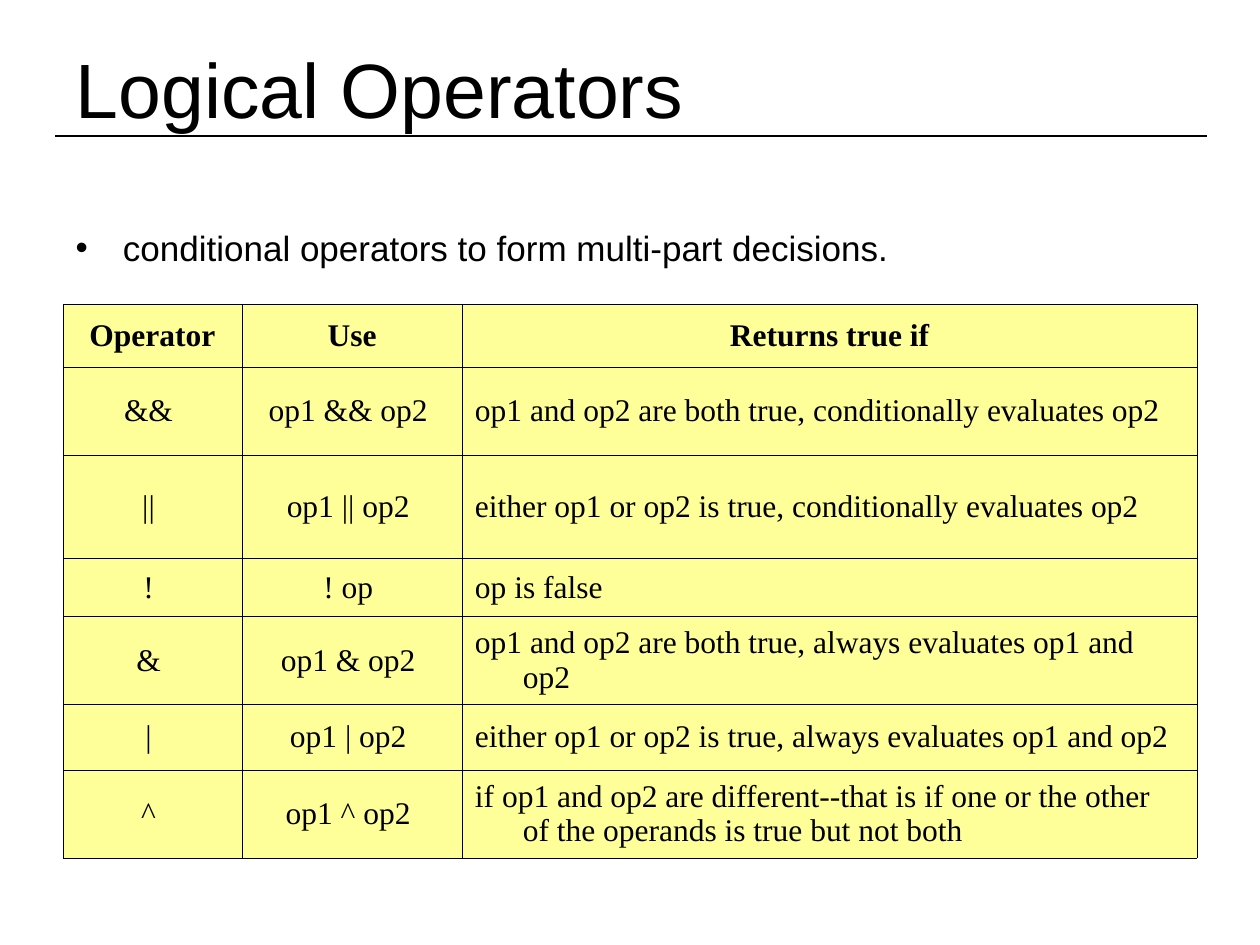
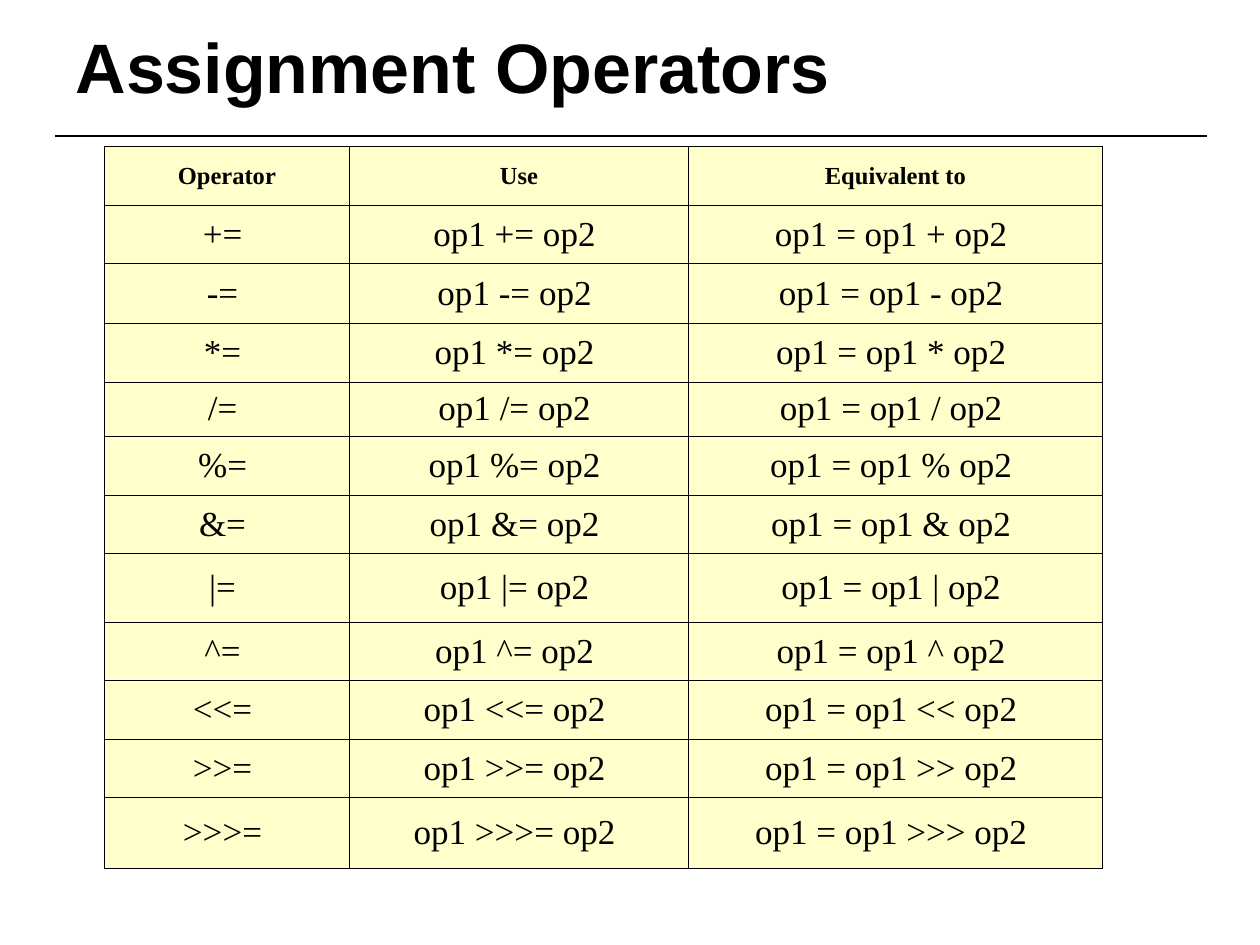
from lxml.etree import SubElement
from pptx import Presentation
from pptx.dml.color import RGBColor
from pptx.enum.shapes import MSO_CONNECTOR
from pptx.enum.text import MSO_ANCHOR, MSO_AUTO_SIZE, PP_ALIGN
from pptx.oxml import parse_xml
from pptx.oxml.ns import nsdecls, qn
from pptx.util import Inches, Pt

BLACK = "000000"
TITLE_ONLY, TITLE_AND_BODY = 5, 1
HANGING = Inches(0.38)

deck = Presentation()
deck.slide_width, deck.slide_height = Inches(10), Inches(7.5)
WIDE, HIGH = deck.slide_width, deck.slide_height


def colour(hex_text):
    return RGBColor.from_string(hex_text)


def write(paragraph, text, face, size, bold=False):
    run = paragraph.add_run()
    run.text = text
    run.font.name, run.font.size, run.font.bold = face, Pt(size), bold
    run.font.color.rgb = colour(BLACK)


# Content: boxes are left, top, width, height as shares of the slide
logical_rows = [
    ("Operator", "Use", "Returns true if"),
    ("&&", "op1 && op2", "op1 and op2 are both true, conditionally evaluates op2"),
    ("||", "op1 || op2", "either op1 or op2 is true, conditionally evaluates op2"),
    ("!", "! op", "op is false"),
    ("&", "op1 & op2", "op1 and op2 are both true, always evaluates op1 and op2"),
    ("|", "op1 | op2", "either op1 or op2 is true, always evaluates op1 and op2"),
    ("^", "op1 ^ op2", "if op1 and op2 are different--that is if one or the other of "
                       "the operands is true but not both"),
]
symbols = ["+", "-", "*", "/", "%", "&", "|", "^", "<<", ">>", ">>>"]
assignment_rows = [("Operator", "Use", "Equivalent to")] + [
    (f"{symbol}=", f"op1 {symbol}= op2", f"op1 = op1 {symbol} op2") for symbol in symbols
]
topics = [
    dict(title="Logical Operators", title_size=44, title_bold=False, title_height=0.105,
         point="conditional operators to form multi-part decisions.",
         rows=logical_rows, box=(0.05, 0.322, 0.9, 0.586), fill="FFFF99",
         column_weights=[1.42, 1.75, 5.83],
         row_weights=[0.5, 0.7, 0.82, 0.46, 0.7, 0.52, 0.7],
         head_size=18, size=18, left_columns=[2]),
    dict(title="Assignment Operators", title_size=40, title_bold=True, title_height=0.059,
         point=None,
         rows=assignment_rows, box=(0.083, 0.155, 0.792, 0.764), fill="FFFFCC",
         column_weights=[1.94, 2.69, 3.28],
         row_weights=[0.47, 0.46, 0.47, 0.47, 0.43, 0.47, 0.46, 0.55, 0.46, 0.47, 0.46, 0.56],
         head_size=14, size=20, left_columns=[]),
]

for topic in topics:
    slide = deck.slides.add_slide(
        deck.slide_layouts[TITLE_AND_BODY if topic["point"] else TITLE_ONLY])

    # Rule under the title
    rule = slide.shapes.add_connector(
        MSO_CONNECTOR.STRAIGHT, int(WIDE * 0.044), int(HIGH * 0.144),
        int(WIDE * 0.958), int(HIGH * 0.144))
    rule.line.color.rgb = colour(BLACK)
    rule.line.width = Pt(0.75)
    SubElement(rule._element.spPr, qn("a:effectLst"))

    # Title and list
    heading = slide.shapes.title
    texts = [(heading, topic["title"], 0.04, topic["title_height"],
              topic["title_size"], topic["title_bold"], MSO_ANCHOR.MIDDLE)]
    if topic["point"]:
        texts.append((slide.placeholders[1], topic["point"], 0.233, 0.077,
                      20, False, MSO_ANCHOR.TOP))
    for holder, text, top, height, size, bold, anchor in texts:
        holder.left, holder.width = int(WIDE * 0.05), int(WIDE * 0.9)
        holder.top, holder.height = int(HIGH * top), int(HIGH * height)
        frame = holder.text_frame
        frame.auto_size, frame.word_wrap = MSO_AUTO_SIZE.NONE, True
        frame.vertical_anchor = anchor
        line = frame.paragraphs[0]
        line.alignment, line.space_before = PP_ALIGN.LEFT, Pt(0)
        write(line, text, "Arial", size, bold)

    # Operator table
    left, top, width, height = topic["box"]
    column_weights, row_weights = topic["column_weights"], topic["row_weights"]
    operators = slide.shapes.add_table(
        len(row_weights), len(column_weights), int(WIDE * left), int(HIGH * top),
        int(WIDE * width), int(HIGH * height)).table
    operators.horz_banding = False
    for column, weight in zip(operators.columns, column_weights):
        column.width = int(WIDE * width * weight / sum(column_weights))
    for row, weight in zip(operators.rows, row_weights):
        row.height = int(HIGH * height * weight / sum(row_weights))

    for r, entries in enumerate(topic["rows"]):
        for c, entry in enumerate(entries):
            is_head = r == 0
            centred = is_head or c not in topic["left_columns"]
            cell = operators.cell(r, c)
            cell.vertical_anchor = MSO_ANCHOR.MIDDLE
            cell.margin_left = cell.margin_right = Inches(0.1)
            cell.margin_top = cell.margin_bottom = Inches(0.05)
            line = cell.text_frame.paragraphs[0]
            line.alignment = PP_ALIGN.CENTER if centred else PP_ALIGN.LEFT
            layout = line._p.get_or_add_pPr()
            layout.set("marL", str(HANGING))
            layout.set("indent", str(-HANGING))
            # Centred entries below the head carry a trailing space
            write(line, entry + " " if centred and not is_head else entry,
                  "Times New Roman", topic["head_size"] if is_head else topic["size"], is_head)

            # Borders come before the fill in the cell properties
            edges = cell._tc.get_or_add_tcPr()
            for side in ("lnL", "lnR", "lnT", "lnB"):
                edges.append(parse_xml(
                    f'<a:{side} {nsdecls("a")} w="{Pt(0.34)}"><a:solidFill>'
                    f'<a:srgbClr val="{BLACK}"/></a:solidFill></a:{side}>'))
            cell.fill.solid()
            cell.fill.fore_color.rgb = colour(topic["fill"])

deck.save("out.pptx")
